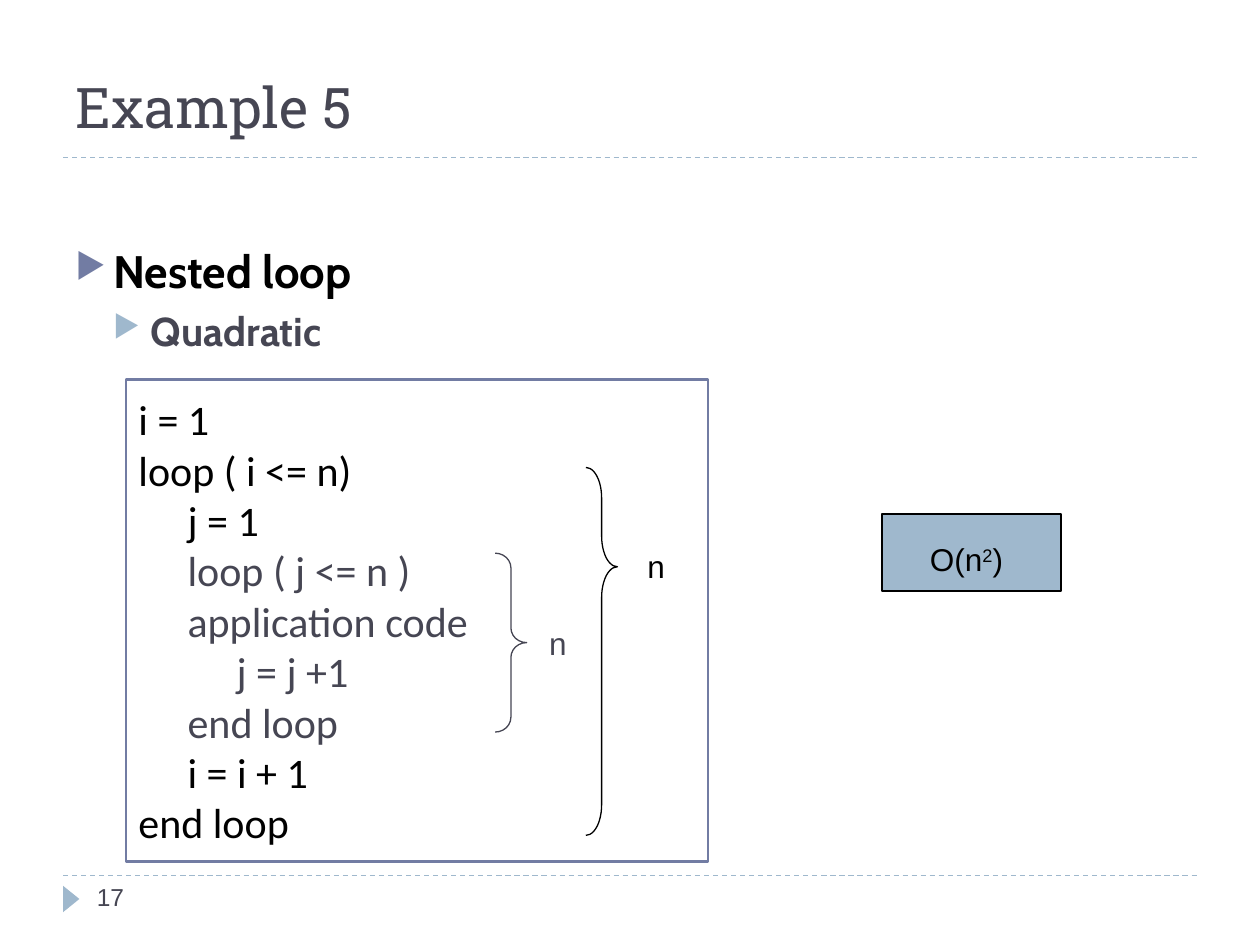
from lxml import etree
from pptx import Presentation
from pptx.dml.color import RGBColor
from pptx.enum.dml import MSO_LINE
from pptx.enum.shapes import MSO_CONNECTOR, MSO_SHAPE as SHAPE
from pptx.enum.text import MSO_ANCHOR, PP_ALIGN
from pptx.oxml.ns import qn
from pptx.util import Inches, Pt

COLORS = {k: RGBColor.from_string(v) for k, v in {
    "ink": "000000", "slate": "464653", "violet": "727CA3",
    "sky": "9FB8CD", "paper": "FFFFFF"}.items()}

prs = Presentation()
prs.slide_width, prs.slide_height = Inches(10), Inches(7.5)
s = prs.slides.add_slide(prs.slide_layouts[5])


def style(p, size, font, color, bold=False):
    for r in p.runs:
        r.font.size, r.font.name, r.font.bold = Pt(size), font, bold
        r.font.color.rgb = COLORS[color]


def add_shape(kind, box, fill=None, line=None, width=0.75):
    sp = s.shapes.add_shape(kind, *map(Inches, box))
    sp.shadow.inherit = False
    if fill:
        sp.fill.solid()
        sp.fill.fore_color.rgb = COLORS[fill]
    else:
        sp.fill.background()
    if line:
        sp.line.color.rgb = COLORS[line]
        sp.line.width = Pt(width)
    else:
        sp.line.fill.background()
    return sp


# Dashed rules and page marker
for y in (1.25, 6.95):
    rule = s.shapes.add_connector(
        MSO_CONNECTOR.STRAIGHT, Inches(0.5), Inches(y), Inches(9.5), Inches(y))
    rule.line.color.rgb = COLORS["sky"]
    rule.line.width = Pt(0.75)
    rule.line.dash_style = MSO_LINE.DASH
    etree.SubElement(rule._element.spPr, qn("a:effectLst"))
marker = add_shape(SHAPE.ISOSCELES_TRIANGLE, (0.46, 7.07, 0.21, 0.13), "sky")
marker.rotation = 90

# Title
title = s.shapes.title
title.left, title.top = Inches(0.5), Inches(0.13)
title.width, title.height = Inches(8.25), Inches(1.03)
tf = title.text_frame
tf.text = "Example 5"
tf.vertical_anchor = MSO_ANCHOR.BOTTOM
tf.paragraphs[0].alignment = PP_ALIGN.LEFT
style(tf.paragraphs[0], 32, "Roboto Slab", "slate")

# Bulleted outline
outline = [("Nested loop", 26, "ink", "violet", 6),
           ("Quadratic", 23, "slate", "sky", 5)]
body = s.shapes.add_textbox(Inches(0.5), Inches(1.88), Inches(8.83), Inches(1.1))
tf = body.text_frame
tf.word_wrap = True
tf.text = "\n".join(item[0] for item in outline)
for level, (p, item) in enumerate(zip(tf.paragraphs, outline)):
    _, size, color, bullet, before = item
    style(p, size, "Cabin", color, bold=True)
    p.level = level
    p.space_before = Pt(before)
    pPr = p._p.get_or_add_pPr()
    pPr.set("marL", str(Inches(0.3 * (level + 1))))
    pPr.set("indent", str(Inches(-0.3)))
    bu_color = etree.SubElement(pPr, qn("a:buClr"))
    etree.SubElement(bu_color, qn("a:srgbClr"), val=str(COLORS[bullet]))
    etree.SubElement(pPr, qn("a:buSzPct"), val="76000")
    etree.SubElement(pPr, qn("a:buChar"), char="▶")

# Pseudocode: indent level, text, colour
code = [(0, "i = 1", "ink"),
        (0, "loop ( i <= n)", "ink"),
        (1, "j = 1", "ink"),
        (1, "loop ( j <= n )", "slate"),
        (1, "application code", "slate"),
        (2, "j = j +1", "slate"),
        (1, "end loop", "slate"),
        (1, "i = i + 1", "ink"),
        (0, "end loop", "ink")]
panel = add_shape(SHAPE.RECTANGLE, (1, 3.01, 4.62, 3.83), "paper", "violet", 1.5)
tf = panel.text_frame
tf.vertical_anchor = MSO_ANCHOR.MIDDLE
tf.text = "\n".join(text for _, text, _ in code)
for p, (depth, _, color) in zip(tf.paragraphs, code):
    style(p, 24, "Calibri", color)
    p.alignment = PP_ALIGN.LEFT
    p._p.get_or_add_pPr().set("marL", str(Inches(0.39 * depth)))

# Result box and loop braces
add_shape(SHAPE.RECTANGLE, (7, 4.08, 1.42, 0.61), "sky", "ink")
braces = [((3.93, 4.39, 0.25, 1.42), "slate", (0.47, 0.5)),
          ((4.65, 3.71, 0.25, 2.92), "ink", (0.97, 0.27))]
for box, color, adjustments in braces:
    brace = add_shape(SHAPE.RIGHT_BRACE, box, line=color)
    for i, value in enumerate(adjustments):
        brace.adjustments[i] = value

# Labels; the last run of each tuple pair marks a superscript
labels = [((4.26, 4.9, 0.4, 0.4), ["n"], 18, "slate", PP_ALIGN.LEFT),
          ((5.04, 4.29, 0.58, 0.4), ["n"], 18, "ink", PP_ALIGN.LEFT),
          ((0.67, 6.95, 2.17, 0.4), ["17"], 14, "slate", PP_ALIGN.LEFT),
          ((5.17, 4.24, 5, 0.4), ["O(n", "2", ")"], 18, "ink", PP_ALIGN.CENTER)]
for box, parts, size, color, align in labels:
    tf = s.shapes.add_textbox(*map(Inches, box)).text_frame
    tf.word_wrap = True
    p = tf.paragraphs[0]
    p.alignment = align
    for part in parts:
        p.add_run().text = part
    style(p, size, "Arial", color)
    if len(parts) > 1:
        p.runs[1].font._element.set("baseline", "30000")

prs.save("out.pptx")
